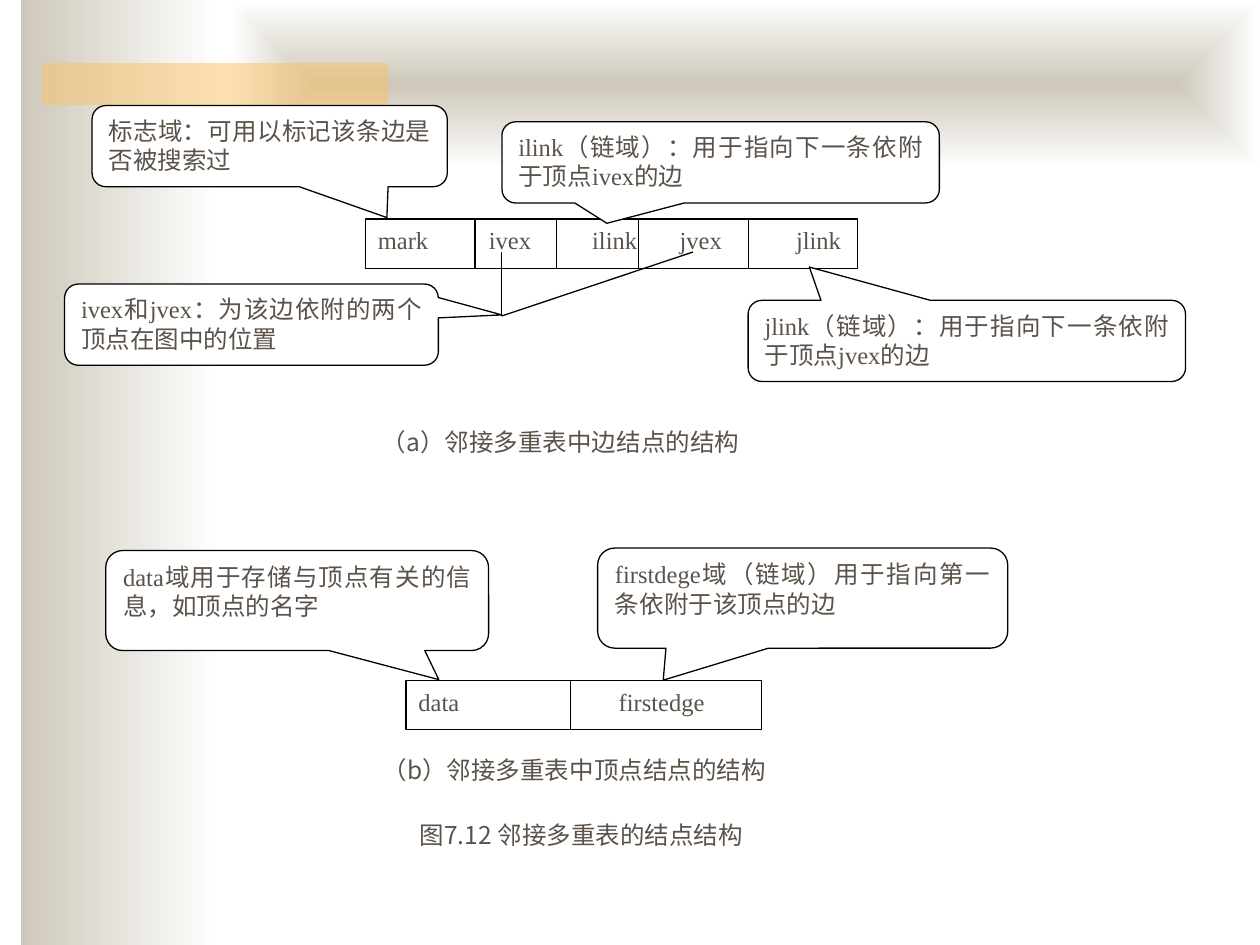
import pptx
import pptx.util
import pptx.oxml
import pptx.oxml.ns
import pptx.oxml.xmlchemy
import pptx.dml.color
import pptx.enum.shapes
import pptx.enum.text

Pt = pptx.util.Pt
RGB = pptx.dml.color.RGBColor
KIND = pptx.enum.shapes.MSO_SHAPE
ALIGN = pptx.enum.text.PP_ALIGN
qn = pptx.oxml.ns.qn
make = pptx.oxml.xmlchemy.OxmlElement

BLACK = RGB(0, 0, 0)
WHITE = RGB(255, 255, 255)
SAND = RGB(0xCE, 0xC8, 0xBA)
GOLD = RGB(0xFA, 0xC1, 0x64)
BROWN = RGB(0x5B, 0x52, 0x49)
SERIF = "Times New Roman"
SANS = "Noto Sans CJK SC"
NODE_H = 28.2

deck = pptx.Presentation()
deck.slide_width, deck.slide_height = Pt(720), Pt(540)
slide = deck.slides.add_slide(deck.slide_layouts[6])
shapes = slide.shapes


def write(shape, text, font=SERIF, align=ALIGN.JUSTIFY, tabs=()):
    """Fill the frame with one paragraph; tabs are stops in points."""
    frame = shape.text_frame
    frame.word_wrap = True
    frame.vertical_anchor = pptx.enum.text.MSO_ANCHOR.TOP
    frame.margin_left = frame.margin_right = Pt(7.2)
    frame.margin_top = frame.margin_bottom = Pt(3.6)
    para = frame.paragraphs[0]
    para.alignment = align
    if tabs:
        stops = make("a:tabLst")
        for pos in tabs:
            stop = make("a:tab")
            stop.set("pos", str(Pt(pos)))
            stop.set("algn", "l")
            stops.append(stop)
        para._p.get_or_add_pPr().append(stops)
    run = para.add_run()
    run.text = text
    run.font.name = font
    run.font.size = Pt(14)
    run.font.color.rgb = BROWN
    east = make("a:ea")
    east.set("typeface", SANS)
    run.font._element.find(qn("a:latin")).addnext(east)


def draw(kind, x, y, w, h, fill=WHITE, line=BLACK):
    shape = shapes.add_shape(kind, Pt(x), Pt(y), Pt(w), Pt(h))
    shape.shadow.inherit = False
    shape.fill.solid()
    shape.fill.fore_color.rgb = fill
    if line is None:
        shape.line.fill.background()
    else:
        shape.line.color.rgb = line
        shape.line.width = Pt(0.75)
    return shape


# Backdrop: two faded bands and a half-clear gold bar
LINEAR = '<a:lin ang="0" scaled="1"/>'
CENTRE = ('<a:path path="rect"><a:fillToRect l="50000" t="50000" '
          'r="50000" b="50000"/></a:path>')
for x, w, h, shade in ((12, 114, 540, LINEAR), (132, 588, 96, CENTRE)):
    band = draw(KIND.RECTANGLE, x, 0, w, h, line=None)
    grad = pptx.oxml.parse_xml(
        f'<a:gradFill {pptx.oxml.ns.nsdecls("a")} rotWithShape="1"><a:gsLst>'
        f'<a:gs pos="0"><a:srgbClr val="{SAND}"/></a:gs>'
        f'<a:gs pos="100000"><a:srgbClr val="{WHITE}"/></a:gs>'
        f'</a:gsLst>{shade}</a:gradFill>')
    solid = band._element.spPr.find(qn("a:solidFill"))
    solid.getparent().replace(solid, grad)

bar = draw(KIND.RECTANGLE, 24, 36, 198, 24, fill=GOLD, line=None)
alpha = make("a:alpha")
alpha.set("val", "50000")
bar._element.spPr.find(qn("a:solidFill"))[0].append(alpha)

# Nodes: left, top, width, field names, tab stops, dividers
nodes = (
    (208.8, 125.2, 281.4, "mark\tivex\tilink\tjvex\tjlink",
     (63.5, 122.5, 172.5, 239), (271.4, 318.2, 365, 427.6)),
    (232, 388.8, 203, "data\tfirstedge", (114.5,), (326,)),
)
# Lines: from x, from y, to x, to y
lines = [(286.6, 144, 286.6, 180.6), (396, 144, 286.6, 180.6)]
for x, y, w, names, tabs, cuts in nodes:
    write(draw(KIND.RECTANGLE, x, y, w, NODE_H), names, tabs=tabs)
    lines += [(cut, y, cut, y + NODE_H) for cut in cuts]

# Callouts: left, top, width, height, pointer x and y, text
calls = (
    (52.6, 60.3, 203, 46.4, 0.33, 0.88, "标志域：可用以标记该条边是否被搜索过"),
    (36.9, 162.3, 213.6, 46.4, 0.67, -0.12,
     "ivex和jvex：为该边依附的两个顶点在图中的位置"),
    (286.8, 69.6, 250, 46.4, -0.26, 0.75,
     "ilink（链域）：用于指向下一条依附于顶点ivex的边"),
    (427.5, 171.6, 250, 46.4, -0.36, -0.91,
     "jlink（链域）：用于指向下一条依附于顶点jvex的边"),
    (60.4, 314.6, 218.8, 57.2, 0.37, 0.79,
     "data域用于存储与顶点有关的信息，如顶点的名字"),
    (341.5, 313.2, 234.4, 57.2, -0.34, 0.82,
     "firstdege域（链域）用于指向第一条依附于该顶点的边"),
)
for x, y, w, h, tip_x, tip_y, text in calls:
    call = draw(KIND.ROUNDED_RECTANGULAR_CALLOUT, x, y, w, h)
    for i, value in enumerate((tip_x, tip_y, 0.17)):
        call.adjustments[i] = value
    write(call, text)

for ends in lines:
    line = shapes.add_connector(
        pptx.enum.shapes.MSO_CONNECTOR.STRAIGHT, *map(Pt, ends))
    line.line.color.rgb = BLACK
    line.line.width = Pt(0.75)
    line._element.spPr.append(make("a:effectLst"))

# Captions: left, top, width, height, text
for x, y, w, h, text in (
    (143.3, 240.5, 354.2, 30.2, "（a）邻接多重表中边结点的结构"),
    (162.2, 427.7, 332, 23, "（b）邻接多重表中顶点结点的结构"),
    (187.9, 465.1, 288.7, 32.4, "图7.12 邻接多重表的结点结构"),
):
    box = shapes.add_textbox(Pt(x), Pt(y), Pt(w), Pt(h))
    write(box, text, font=SANS, align=ALIGN.CENTER)

deck.save("out.pptx")
